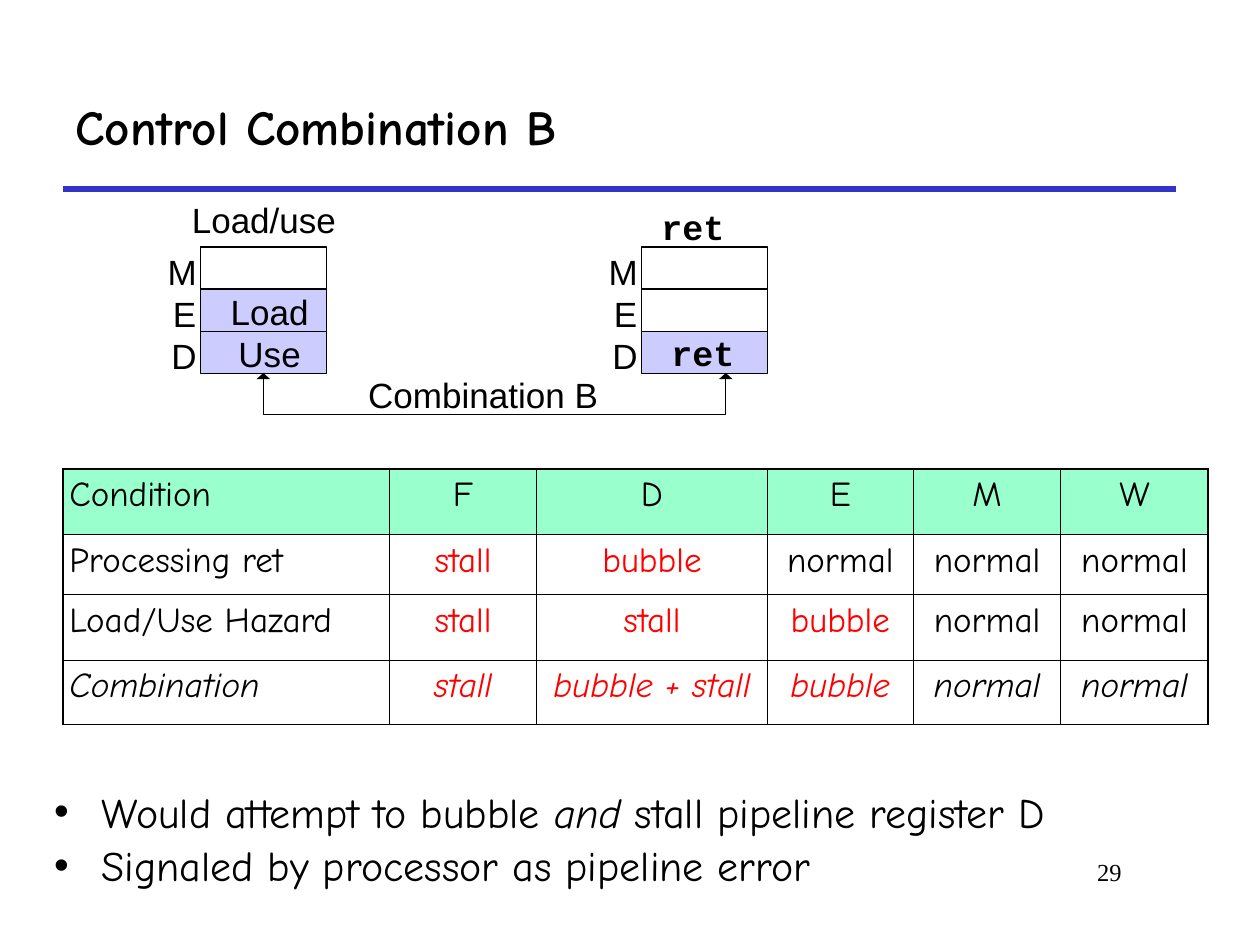
from lxml import etree
from pptx import Presentation
from pptx.dml.color import RGBColor
from pptx.enum.shapes import MSO_CONNECTOR, MSO_SHAPE
from pptx.enum.text import MSO_ANCHOR, MSO_AUTO_SIZE, PP_ALIGN
from pptx.oxml.ns import qn
from pptx.util import Inches, Pt

COLORS = {"ink": "000000", "rule": "3333CC", "active": "CCCCFF", "empty": "FFFFFF",
          "header": "99FFCC", "alert": "FF0000"}
HAND, SANS, MONO, SERIF = "Comic Neue", "Arial", "Courier New", "Times New Roman"

# Content
TITLE = "Control Combination B"
BULLETS = [
    [("Would attempt to bubble ", False), ("and ", True), ("stall pipeline register D", False)],
    [("Signaled by processor as pipeline error", False)],
]
STAGES = [("M", 0.23, 2.03), ("E", 0.19, 2.36), ("D", 0.20, 2.69)]  # name, width, top
# Left edge of the stack and which stages are active
STACKS = [(1.59, "ED"), (5.09, "D")]
LABELS = [  # text, left, top, width, font
    ("Load/use", 1.52, 1.61, 1.15, SANS),
    ("Load", 1.83, 2.34, 0.62, SANS),
    ("Use", 1.89, 2.68, 0.50, SANS),
    ("ret", 5.23, 1.67, 0.54, MONO),
    ("ret", 5.31, 2.67, 0.54, MONO),
    ("Combination B", 2.92, 3.00, 1.83, SANS),
]
TABLE = [
    ["Condition", "F", "D", "E", "M", "W"],
    ["Processing ret", "stall", "bubble", "normal", "normal", "normal"],
    ["Load/Use Hazard", "stall", "stall", "bubble", "normal", "normal"],
    ["Combination", "stall", "bubble + stall", "bubble", "normal", "normal"],
]
COL_WIDTHS = [2.59, 1.17, 1.83, 1.16, 1.17, 1.17]
ROW_HEIGHTS = [0.52, 0.48, 0.52, 0.51]
STACK_TOP, BOX_W, BOX_H = 1.96, 1, 0.335
ARROW_XS, ARROW_TOP, ARROW_BOTTOM = (2.09, 5.76), 2.96, 3.29


def color(name):
    return RGBColor.from_string(COLORS[name])


def style(r, font, size, name="ink", bold=False, italic=False):
    r.font.name, r.font.size = font, Pt(size)
    r.font.bold, r.font.italic = bold, italic
    r.font.color.rgb = color(name)


def place(s, left, top, width, height):
    s.left, s.top, s.width, s.height = map(Inches, (left, top, width, height))


def add_label(slide, text, left, top, width, font):
    tf = slide.shapes.add_textbox(*map(Inches, (left, top, width, 0.3))).text_frame
    tf.margin_left = tf.margin_right = tf.margin_top = tf.margin_bottom = 0
    tf.word_wrap = False
    tf.auto_size = MSO_AUTO_SIZE.SHAPE_TO_FIT_TEXT
    p = tf.paragraphs[0]
    p.text, p.alignment, p.line_spacing = text, PP_ALIGN.CENTER, 0.9
    style(p.runs[0], font, 20, bold=font == MONO)


def add_preset(slide, kind, left, top, width, height, fill):
    s = slide.shapes.add_shape(kind, *map(Inches, (left, top, width, height)))
    s.shadow.inherit = False
    s.fill.solid()
    s.fill.fore_color.rgb = color(fill)
    return s


def set_borders(cell, widths):
    tc_pr = cell._tc.get_or_add_tcPr()
    for side, width in zip("LRTB", widths):
        ln = etree.SubElement(tc_pr, qn(f"a:ln{side}"), w=str(Pt(width)))
        fill = etree.SubElement(ln, qn("a:solidFill"))
        etree.SubElement(fill, qn("a:srgbClr"), val=COLORS["ink"])


def add_title_and_bullets(slide):
    title, body = slide.placeholders
    place(title, 0.5, 0.5, 8.83, 1)
    title.text_frame.text = TITLE
    title.text_frame.vertical_anchor = MSO_ANCHOR.MIDDLE
    p = title.text_frame.paragraphs[0]
    p.alignment = PP_ALIGN.LEFT
    style(p.runs[0], HAND, 28, bold=True)

    place(body, 0.33, 6.25, 9.2, 0.97)
    tf = body.text_frame
    tf.auto_size = MSO_AUTO_SIZE.NONE
    for i, parts in enumerate(BULLETS):
        p = tf.add_paragraph() if i else tf.paragraphs[0]
        p.line_spacing, p.space_before = 0.85, Pt(6 if i else 0)
        for text, italic in parts:
            r = p.add_run()
            r.text = text
            style(r, HAND, 24, italic=italic)


def add_rule_and_number(slide):
    rule = slide.shapes.add_connector(
        MSO_CONNECTOR.STRAIGHT, *map(Inches, (0.5, 1.5, 9.33, 1.5)))
    rule.line.color.rgb, rule.line.width = color("rule"), Pt(3)
    etree.SubElement(rule._element.spPr, qn("a:effectLst"))

    tf = slide.shapes.add_textbox(*map(Inches, (7.58, 6.75, 1.42, 0.5))).text_frame
    tf.word_wrap = True
    p = tf.paragraphs[0]
    p.text, p.alignment = "29", PP_ALIGN.RIGHT
    style(p.runs[0], SERIF, 14)


def add_diagram(slide):
    # Stacks of pipeline stages, each named to its left
    for left, active in STACKS:
        for i, (stage, width, top) in enumerate(STAGES):
            box = add_preset(slide, MSO_SHAPE.RECTANGLE, left, STACK_TOP + i * BOX_H,
                             BOX_W, BOX_H, "active" if stage in active else "empty")
            box.line.color.rgb, box.line.width = color("ink"), Pt(0.75)
            add_label(slide, stage, left - 0.03 - width, top, width, SANS)
    for label in LABELS:
        add_label(slide, *label)

    # Bracket joining the two stacks, with a tip at each end
    tip_w, tip_h = 0.11, 0.05
    x1, x2, start, bottom = map(Inches, (*ARROW_XS, ARROW_TOP + tip_h, ARROW_BOTTOM))
    fb = slide.shapes.build_freeform(x1, start)
    fb.add_line_segments([(x1, bottom), (x2, bottom), (x2, start)], close=False)
    bracket = fb.convert_to_shape()
    bracket.shadow.inherit = False
    bracket.fill.background()
    bracket.line.color.rgb, bracket.line.width = color("ink"), Pt(0.75)
    for x in ARROW_XS:
        tip = add_preset(slide, MSO_SHAPE.ISOSCELES_TRIANGLE, x - tip_w / 2, ARROW_TOP,
                         tip_w, tip_h, "ink")
        tip.line.fill.background()


def add_condition_table(slide):
    rows, cols = len(TABLE), len(COL_WIDTHS)
    table = slide.shapes.add_table(rows, cols, *map(
        Inches, (0.5, 3.72, sum(COL_WIDTHS), sum(ROW_HEIGHTS)))).table
    table.first_row = table.horz_banding = False
    for column, width in zip(table.columns, COL_WIDTHS):
        column.width = Inches(width)
    for row, height in zip(table.rows, ROW_HEIGHTS):
        row.height = Inches(height)
    for i, texts in enumerate(TABLE):
        for j, text in enumerate(texts):
            cell = table.cell(i, j)
            cell.margin_left = cell.margin_right = Inches(0.05)
            cell.margin_top = cell.margin_bottom = Inches(0.05)
            outer = (j == 0, j == cols - 1, i == 0, i == rows - 1)
            set_borders(cell, [1.08 if edge else 0.45 for edge in outer])
            if i == 0:
                cell.fill.solid()
                cell.fill.fore_color.rgb = color("header")
            else:
                cell.fill.background()
            p = cell.text_frame.paragraphs[0]
            p.text = text
            p.alignment = PP_ALIGN.CENTER if j else PP_ALIGN.LEFT
            alert = "stall" in text or "bubble" in text
            style(p.runs[0], HAND, 20, "alert" if alert else "ink", italic=i == rows - 1)


def main():
    prs = Presentation()
    prs.slide_width, prs.slide_height = Inches(10), Inches(7.5)
    slide = prs.slides.add_slide(prs.slide_layouts[1])
    add_rule_and_number(slide)
    add_title_and_bullets(slide)
    add_diagram(slide)
    add_condition_table(slide)
    prs.save("out.pptx")


if __name__ == "__main__":
    main()
